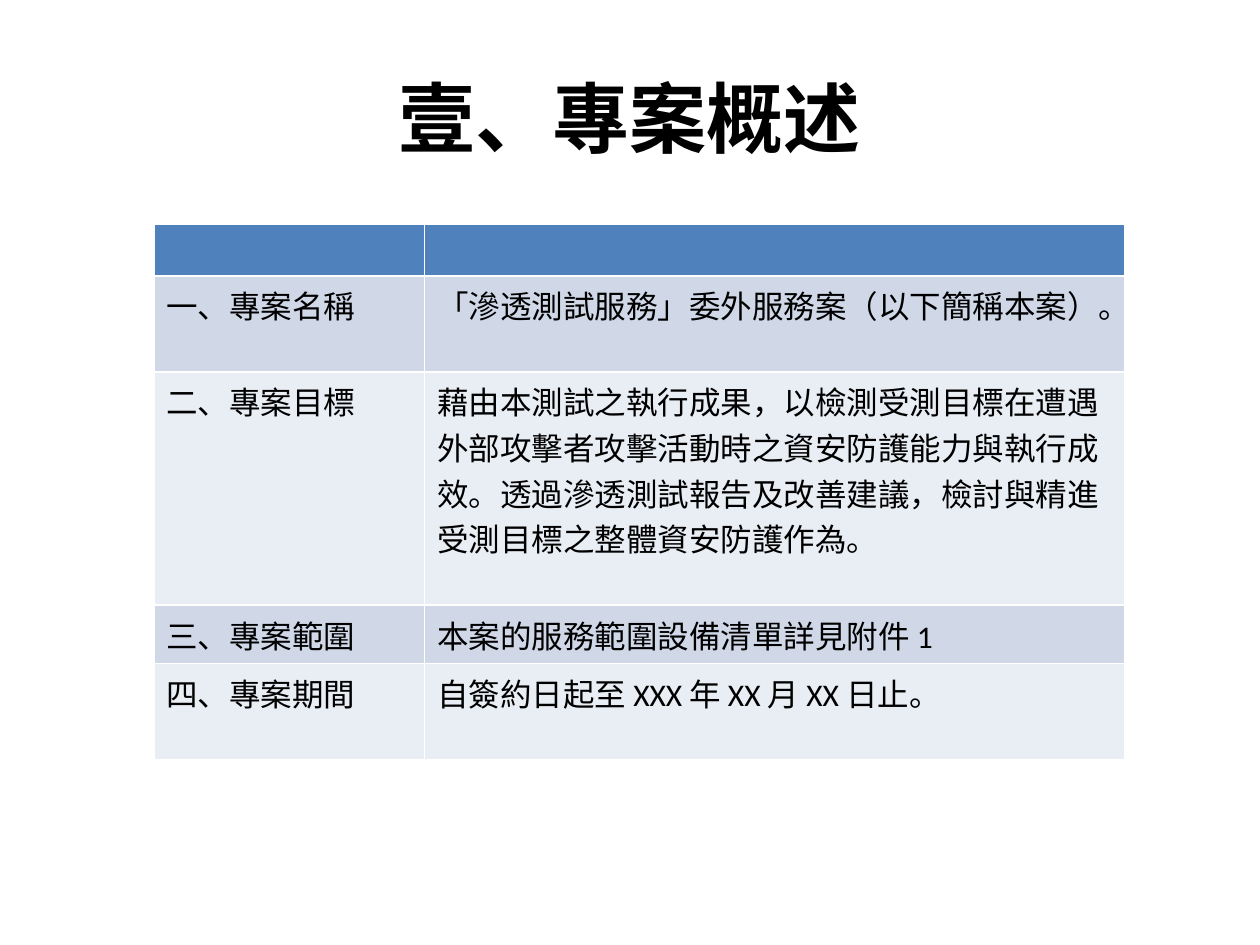
from pptx import Presentation
from pptx.util import Cm, Pt
from pptx.dml.color import RGBColor as Rgb
from pptx.enum.text import PP_ALIGN as Align, MSO_ANCHOR as Anchor

TITLE = "壹、專案概述"
ROWS = [
    ("", "", 1.03),
    ("一、專案名稱", "「滲透測試服務」委外服務案（以下簡稱本案）。", 1.94),
    ("二、專案目標",
     "藉由本測試之執行成果，以檢測受測目標在遭遇外部攻擊者攻擊活動時之資安防護能力與執行成效。"
     "透過滲透測試報告及改善建議，檢討與精進受測目標之整體資安防護作為。", 4.7),
    ("三、專案範圍", "本案的服務範圍設備清單詳見附件 1", 1.18),
    ("四、專案期間", "自簽約日起至 XXX 年 XX 月 XX 日止。", 1.94),
]
WIDTHS = [5.46, 14.12]
COLORS = {"text": "000000", "head": "4F81BD", "odd": "D0D8E8", "even": "E9EDF4"}


def color(key):
    return Rgb.from_string(COLORS[key])


def write(frame, text, size=18, bold=False, align=Align.LEFT):
    frame.word_wrap = True
    para = frame.paragraphs[0]
    para.alignment = align
    for font in (para.font, *([para.add_run().font] if text else [])):
        font.name = "Calibri"
        font.size = Pt(size)
        font.bold = bold
        font.color.rgb = color("text")
    if text:
        para.runs[0].text = text


deck = Presentation()
deck.slide_width, deck.slide_height = Cm(25.4), Cm(19.05)
slide = deck.slides.add_slide(deck.slide_layouts[5])

title = slide.shapes.title
title.left, title.top, title.width, title.height = Cm(1.27), Cm(0.76), Cm(22.86), Cm(3.18)
title.text_frame.vertical_anchor = Anchor.MIDDLE
write(title.text_frame, TITLE, size=44, bold=True, align=Align.CENTER)

total = sum(row[-1] for row in ROWS)
table = slide.shapes.add_table(len(ROWS), len(WIDTHS), Cm(3.1), Cm(4.53),
                               Cm(sum(WIDTHS)), Cm(total)).table
for col, width in zip(table.columns, WIDTHS):
    col.width = Cm(width)
for r, (*texts, height) in enumerate(ROWS):
    table.rows[r].height = Cm(height)
    fill = "head" if r == 0 else "odd" if r % 2 else "even"
    for c, text in enumerate(texts):
        cell = table.cell(r, c)
        cell.fill.solid()
        cell.fill.fore_color.rgb = color(fill)
        write(cell.text_frame, text)

deck.save("out.pptx")
